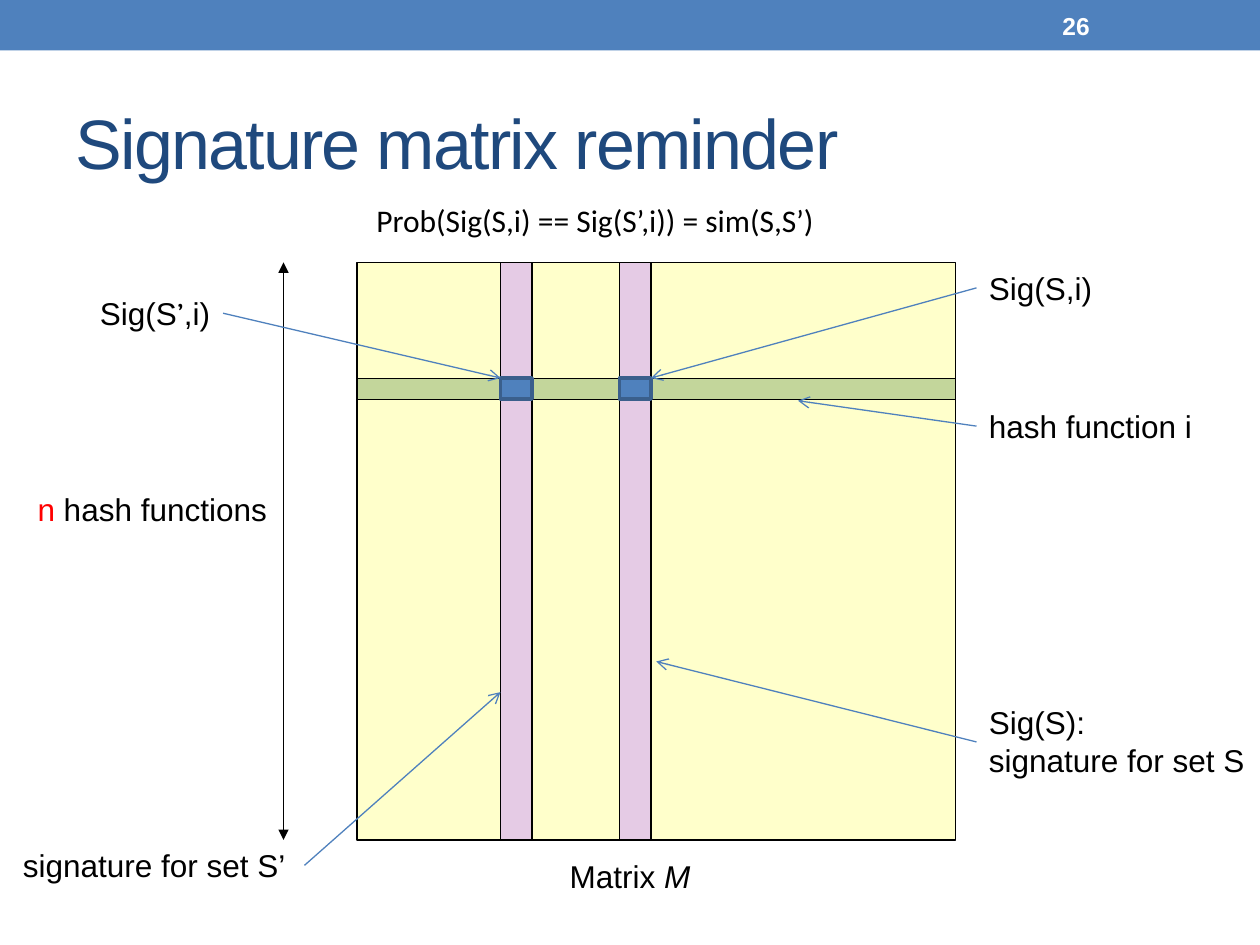
from dataclasses import dataclass

from lxml.etree import SubElement
from pptx import Presentation
from pptx.dml.color import RGBColor
from pptx.enum.shapes import MSO_CONNECTOR, MSO_SHAPE
from pptx.enum.text import MSO_ANCHOR, PP_ALIGN
from pptx.oxml.ns import qn
from pptx.util import Pt


@dataclass(frozen=True)
class Theme:
    accent: str = "4F81BD"
    accent_edge: str = "3A5F8C"
    heading: str = "1F497D"
    ink: str = "000000"
    paper: str = "FFFFFF"
    highlight: str = "FF0000"
    matrix: str = "FFFF99"
    column: str = "CC99FF"
    row: str = "C3D69B"
    font: str = "Arial"
    title_size: int = 40
    number_size: int = 14
    body_size: int = 18


THEME = Theme()
MATRIX_LEFT, MATRIX_TOP, MATRIX_WIDTH, MATRIX_HEIGHT = 204, 150, 342, 330
COLUMN_WIDTH, ROW_TOP, ROW_HEIGHT = 18, 216, 12
COLUMN_LEFTS = (286, 354)
LABEL_LEFT = 558


def color(code):
    return RGBColor.from_string(code)


def add_block(page, frame, fill, edge=None, weight=0.75, alpha=None):
    block = page.shapes.add_shape(MSO_SHAPE.RECTANGLE, *map(Pt, frame))
    block.shadow.inherit = False
    block.fill.solid()
    block.fill.fore_color.rgb = color(fill)
    if alpha:
        tint = block.fill._xPr.find(f"{qn('a:solidFill')}/{qn('a:srgbClr')}")
        SubElement(tint, qn("a:alpha"), val=str(alpha * 1000))
    if edge:
        block.line.color.rgb = color(edge)
        block.line.width = Pt(weight)
    else:
        block.line.fill.background()


def add_arrow(page, start, end, stroke=THEME.accent, **heads):
    arrow = page.shapes.add_connector(MSO_CONNECTOR.STRAIGHT, *map(Pt, start + end))
    arrow.line.color.rgb = color(stroke)
    arrow.line.width = Pt(0.75)
    for tag, kind in (heads or {"tailEnd": "arrow"}).items():
        SubElement(arrow.line._ln, qn(f"a:{tag}"), type=kind)
    SubElement(arrow._element.spPr, qn("a:effectLst"))


def add_span(para, text, ink=THEME.ink, spacing=None, **font_format):
    span = para.add_run()
    span.text = text
    span.font.color.rgb = color(ink)
    values = {"name": THEME.font, "size": Pt(THEME.body_size), **font_format}
    for name, value in values.items():
        setattr(span.font, name, value)
    if spacing:
        span.font._element.set("spc", str(spacing))


def add_text(page, frame, *lines, wrap=False, align=PP_ALIGN.LEFT,
             anchor=MSO_ANCHOR.TOP):
    box = page.shapes.add_textbox(*map(Pt, frame))
    text_frame = box.text_frame
    for name, value in {"word_wrap": wrap, "vertical_anchor": anchor}.items():
        setattr(text_frame, name, value)
    for index, spans in enumerate(lines):
        para = text_frame.add_paragraph() if index else text_frame.paragraphs[0]
        para.alignment = align
        for text, font_format in spans:
            add_span(para, text, **font_format)


def add_header(page):
    add_block(page, (0, 0, 720, 28.8), THEME.accent)
    number = {"ink": THEME.paper, "size": Pt(THEME.number_size), "bold": True}
    title = {"ink": THEME.heading, "size": Pt(THEME.title_size), "spacing": -100}
    add_text(page, (600, 1.5, 84, 26), [("26", number)],
             wrap=True, anchor=MSO_ANCHOR.MIDDLE)
    add_text(page, (36, 42, 648, 78), [("Signature matrix reminder", title)],
             wrap=True, anchor=MSO_ANCHOR.MIDDLE)


def add_matrix(page):
    add_block(page, (MATRIX_LEFT, MATRIX_TOP, MATRIX_WIDTH, MATRIX_HEIGHT),
              THEME.matrix, THEME.ink, alpha=50)
    for left in COLUMN_LEFTS:
        add_block(page, (left, MATRIX_TOP, COLUMN_WIDTH, MATRIX_HEIGHT),
                  THEME.column, THEME.ink, alpha=50)
    add_block(page, (MATRIX_LEFT, ROW_TOP, MATRIX_WIDTH, ROW_HEIGHT),
              THEME.row, THEME.ink, weight=0.25)
    for left in COLUMN_LEFTS:
        add_block(page, (left, ROW_TOP, COLUMN_WIDTH, ROW_HEIGHT),
                  THEME.accent, THEME.accent_edge, weight=2.08)


def add_arrows(page):
    add_arrow(page, (162, MATRIX_TOP), (162, MATRIX_TOP + MATRIX_HEIGHT),
              THEME.ink, headEnd="triangle", tailEnd="triangle")
    prime_left, set_left = COLUMN_LEFTS
    for start, end in (
        ((LABEL_LEFT, 243.5), (456, 229)),
        ((LABEL_LEFT, 424), (375, 378)),
        ((LABEL_LEFT, 164.5), (set_left + COLUMN_WIDTH, ROW_TOP)),
        ((174, 494.5), (prime_left, 395.5)),
        ((127.5, 179), (prime_left, ROW_TOP)),
    ):
        add_arrow(page, start, end)


def add_labels(page):
    add_text(page, (307, 486, 106, 36),
             [("Matrix ", {}), ("M", {"italic": True})], align=PP_ALIGN.CENTER)
    add_text(page, (12, 276.5, 150, 29),
             [("n", {"ink": THEME.highlight}), (" hash functions", {})],
             align=PP_ALIGN.CENTER)
    add_text(page, (LABEL_LEFT, 398, 162, 51),
             [("Sig(S):", {})], [("signature for set S", {})], wrap=True)
    add_text(page, (LABEL_LEFT, 229, 132, 29), [("hash function i", {})])
    add_text(page, (LABEL_LEFT, 150, 74, 29), [("Sig(S,i)", {})])
    add_text(page, (6, 480, 168, 29), [("signature for set S’", {})], wrap=True)
    add_text(page, (50, 164.5, 77.5, 29),
             [("Sig(S", {}), ("’", {"name": "Cambria"}), (",i)", {})])
    add_text(page, (208, 111.5, 268, 29),
             [("Prob(Sig(S,i) == Sig(S’,i)) = sim(S,S’)", {"name": "Calibri"})])


def main():
    deck = Presentation()
    deck.slide_width, deck.slide_height = Pt(720), Pt(540)
    page = deck.slides.add_slide(deck.slide_layouts[6])
    add_header(page)
    add_matrix(page)
    add_arrows(page)
    add_labels(page)
    deck.save("out.pptx")


if __name__ == "__main__":
    main()
